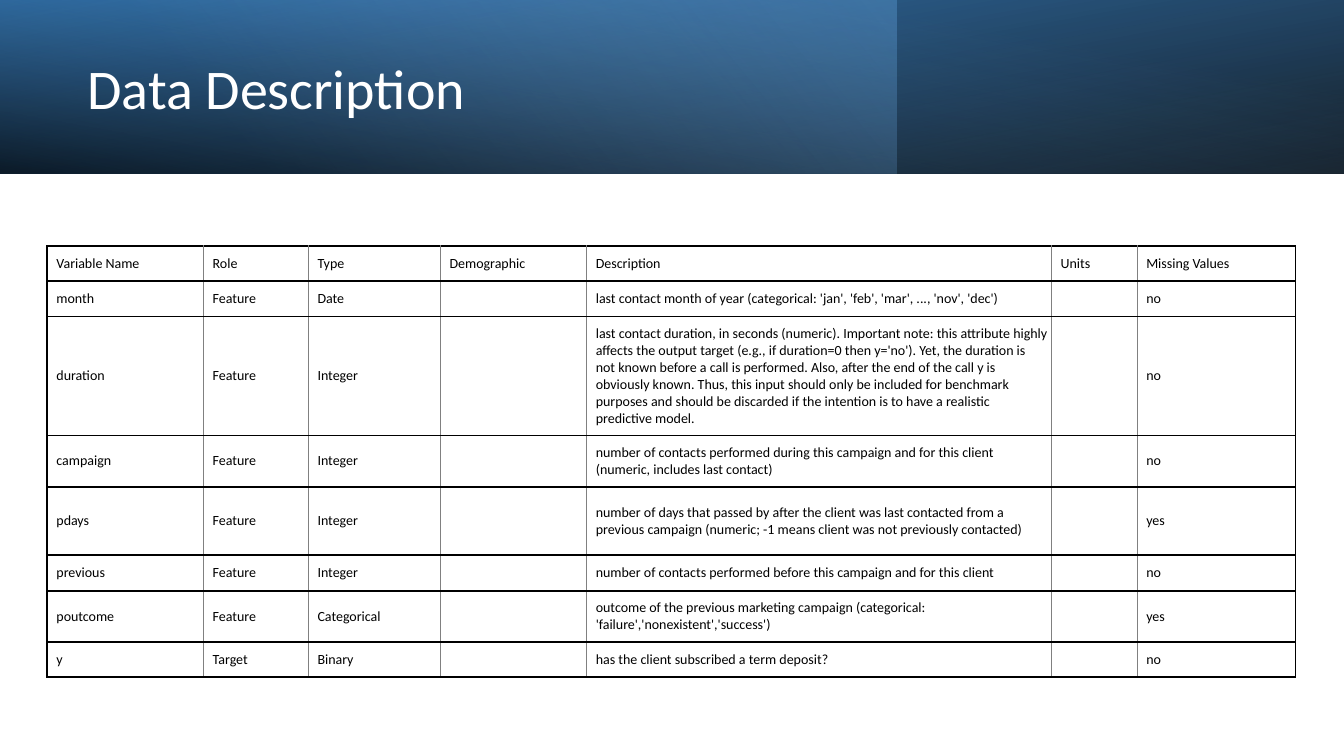
"""Build the Data Description slide with its banner and variable table."""
from lxml.etree import SubElement
from pptx import Presentation
from pptx.dml.color import RGBColor
from pptx.enum.shapes import MSO_SHAPE
from pptx.enum.text import MSO_ANCHOR
from pptx.oxml.ns import qn
from pptx.util import Inches, Pt


def style_text(paragraph, size, color):
    for run in paragraph.runs:
        run.font.size = Pt(size)
        run.font.name = "Calibri"
        run.font.color.rgb = RGBColor.from_string(color)


def add_color(parent, color, alpha=100):
    srgb = SubElement(parent, qn("a:srgbClr"), val=color)
    if alpha < 100:
        SubElement(srgb, qn("a:alpha"), val=str(alpha * 1000))


presentation = Presentation()
presentation.slide_width = Inches(13.33)
presentation.slide_height = Inches(7.5)
slide = presentation.slides.add_slide(presentation.slide_layouts[6])

banner_layers = [
    (13.33, 180, True, 100, [(0, "000000", 96), (100, "2E75B6", 100)]),
    (8.89, 0, False, 140, [(0, "5B9BD5", 41), (74, "9DC3E6", 0)]),
    (13.33, 0, True, 260, [(0, "000000", 63), (78, "5B9BD5", 15)]),
]
for width, rotation, flipped, angle, stops in banner_layers:
    layer = slide.shapes.add_shape(MSO_SHAPE.RECTANGLE, 0, 0, Inches(width), Inches(1.72))
    layer.shadow.inherit = False
    layer.line.fill.background()
    layer.rotation = rotation
    if flipped:
        layer._element.spPr.find(qn("a:xfrm")).set("flipH", "1")
    layer.fill.gradient()
    gradient = layer._element.spPr.find(qn("a:gradFill"))
    gradient.set("rotWithShape", "1")
    gradient.find(qn("a:lin")).set("ang", str(angle * 60000))
    stop_list = gradient.find(qn("a:gsLst"))
    stop_list.clear()
    for position, color, alpha in stops:
        add_color(SubElement(stop_list, qn("a:gs"), pos=str(position * 1000)), color, alpha)

title = slide.shapes.add_textbox(Inches(0.77), Inches(0.27), Inches(7.72), Inches(1.27))
title.text_frame.text = "Data Description"
title.text_frame.word_wrap = True
title.text_frame.vertical_anchor = MSO_ANCHOR.MIDDLE
title.text_frame.paragraphs[0].line_spacing = 0.9
style_text(title.text_frame.paragraphs[0], 40, "FFFFFF")

variables = [
    ("Variable Name", "Role", "Type", "Demographic", "Description", "Units", "Missing Values"),
    ("month", "Feature", "Date", "",
     "last contact month of year (categorical: 'jan', 'feb', 'mar', ..., 'nov', 'dec')", "", "no"),
    ("duration", "Feature", "Integer", "",
     "last contact duration, in seconds (numeric). Important note: this attribute highly "
     "affects the output target (e.g., if duration=0 then y='no'). Yet, the duration is not "
     "known before a call is performed. Also, after the end of the call y is obviously known. "
     "Thus, this input should only be included for benchmark purposes and should be discarded "
     "if the intention is to have a realistic predictive model.", "", "no"),
    ("campaign", "Feature", "Integer", "",
     "number of contacts performed during this campaign and for this client "
     "(numeric, includes last contact)", "", "no"),
    ("pdays", "Feature", "Integer", "",
     "number of days that passed by after the client was last contacted from a previous "
     "campaign (numeric; -1 means client was not previously contacted)", "", "yes"),
    ("previous", "Feature", "Integer", "",
     "number of contacts performed before this campaign and for this client", "", "no"),
    ("poutcome", "Feature", "Categorical", "",
     "outcome of the previous marketing campaign (categorical: "
     "'failure','nonexistent','success')", "", "yes"),
    ("y", "Target", "Binary", "", "has the client subscribed a term deposit?", "", "no"),
]
column_widths = [1.55, 1.04, 1.31, 1.45, 4.61, 0.85, 1.57]
row_heights = [0.35, 0.35, 1.18, 0.51, 0.68, 0.35, 0.51, 0.35]
table = slide.shapes.add_table(len(row_heights), len(column_widths), Inches(0.47), Inches(2.44),
                               Inches(sum(column_widths)), Inches(sum(row_heights))).table
table.first_row = False
table.horz_banding = False
for column, width in zip(table.columns, column_widths):
    column.width = Inches(width)
for row, height in zip(table.rows, row_heights):
    row.height = Inches(height)

outer_rule = ("000000", 1.5)
inner_rule = ("808080", 0.5)
last_column = len(column_widths) - 1
for row, values in zip(table.rows, variables):
    for index, (cell, value) in enumerate(zip(row.cells, values)):
        cell.text_frame.text = value
        cell.vertical_anchor = MSO_ANCHOR.MIDDLE
        cell.margin_left, cell.margin_right = Inches(0.09), Inches(0.04)
        cell.margin_top = cell.margin_bottom = Inches(0.07)
        entry = cell.text_frame.paragraphs[0]
        style_text(entry, 10, "000000")
        if not value:
            SubElement(entry._p, qn("a:endParaRPr"), sz="1000")
        borders = {
            "a:lnL": outer_rule if index == 0 else inner_rule,
            "a:lnR": outer_rule if index == last_column else inner_rule,
            "a:lnT": outer_rule,
            "a:lnB": outer_rule,
        }
        for side, (color, weight) in borders.items():
            border = SubElement(cell._tc.get_or_add_tcPr(), qn(side), w=str(Pt(weight)))
            add_color(SubElement(border, qn("a:solidFill")), color)
        cell.fill.background()

presentation.save("out.pptx")
